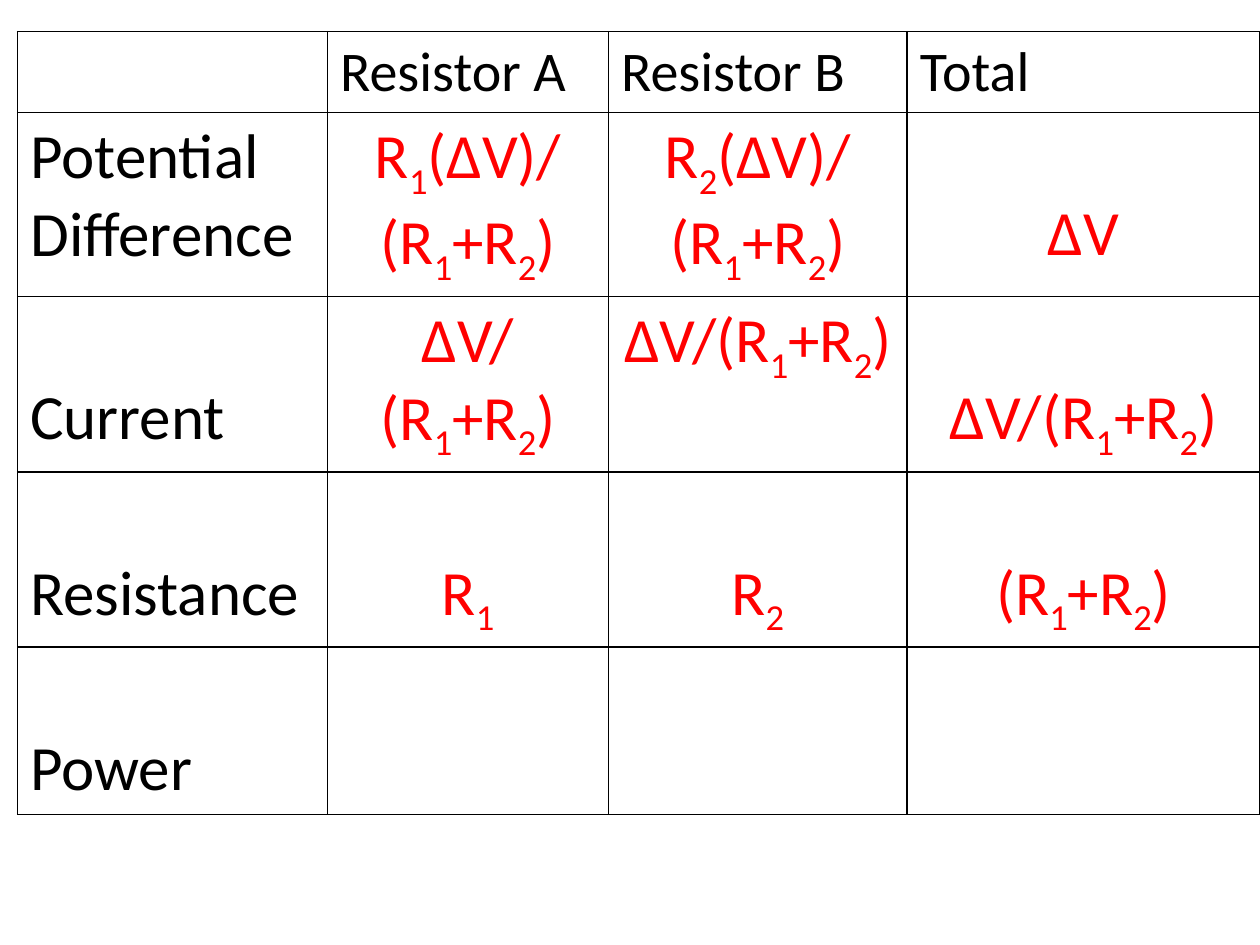
from lxml import etree
from pptx import Presentation
from pptx.dml.color import RGBColor
from pptx.enum import text
from pptx.oxml import ns
from pptx.util import Inches, Pt

COLORS = {"label": "000000", "formula": "FF0000", "border": "000000"}
FONT = "Calibri"
COL_WIDTHS = [2.46, 2.23, 2.37, 2.8]
ROW_HEIGHTS = [0.64, 1.46, 1.39, 1.39, 1.33]
MARGIN = 0.05
LINE_HEIGHT = 0.61
CURRENT = "ΔV/(R_1+R_2)"
ROWS = [
    ["", "Resistor A", "Resistor B", "Total"],
    ["Potential Difference", "R_1(ΔV)/(R_1+R_2)", "R_2(ΔV)/(R_1+R_2)", "ΔV"],
    ["Current", CURRENT, CURRENT, CURRENT],
    ["Resistance", "R_1", "R_2", "(R_1+R_2)"],
    ["Power", "", "", ""],
]
SECOND_LINE = {(1, 3), (2, 0), (2, 3), (3, 0), (3, 1), (3, 2), (3, 3), (4, 0)}


def add_run(p, value, size, color, subscript=False):
    """Add one run of text, lowered if it is a subscript."""
    r = p.add_run()
    r.text = value
    r.font.name = FONT
    r.font.size = Pt(size)
    r.font.color.rgb = RGBColor.from_string(COLORS[color])
    if subscript:
        r._r.get_or_add_rPr().set("baseline", "-25000")


def add_formula(p, formula, size, color):
    """Write a formula in which an underscore marks a one-digit subscript."""
    head, *tails = formula.split("_")
    add_run(p, head, size, color)
    for tail in tails:
        add_run(p, tail[0], size, color, subscript=True)
        if tail[1:]:
            add_run(p, tail[1:], size, color)


def style_cell(cell):
    """Clear the fill of a cell and give it a thin border on each side."""
    cell.fill.background()
    tc_pr = cell._tc.get_or_add_tcPr()
    for i, side in enumerate(("lnL", "lnR", "lnT", "lnB")):
        ln = etree.Element(ns.qn(f"a:{side}"), w=str(Pt(1)))
        fill = etree.SubElement(ln, ns.qn("a:solidFill"))
        etree.SubElement(fill, ns.qn("a:srgbClr"), val=COLORS["border"])
        tc_pr.insert(i, ln)


def add_circuit_table(s, left, top, width, height):
    """Place the table of series circuit quantities in the given box."""
    table = s.shapes.add_table(len(ROWS), len(COL_WIDTHS), left, top, width, height).table
    table.first_row = table.horz_banding = False
    for col, size in zip(table.columns, COL_WIDTHS):
        col.width = Inches(size)
    for row, size in zip(table.rows, ROW_HEIGHTS):
        row.height = Inches(size)
    for i, row in enumerate(ROWS):
        for j, value in enumerate(row):
            cell = table.cell(i, j)
            style_cell(cell)
            offset = LINE_HEIGHT if (i, j) in SECOND_LINE else 0
            cell.margin_top = Inches(MARGIN + offset)
            cell.margin_bottom = Inches(MARGIN)
            if not value:
                continue
            p = cell.text_frame.paragraphs[0]
            is_formula = i > 0 and j > 0
            p.alignment = text.PP_ALIGN.CENTER if is_formula else text.PP_ALIGN.LEFT
            add_formula(p, value, 36 if i else 32, "formula" if is_formula else "label")


def main():
    """Build and save the slide."""
    prs = Presentation()
    prs.slide_width, prs.slide_height = Inches(10), Inches(7.5)
    s = prs.slides.add_slide(prs.slide_layouts[6])
    add_circuit_table(s, Inches(0.14), Inches(0.25),
                      Inches(sum(COL_WIDTHS)), Inches(sum(ROW_HEIGHTS)))
    prs.save("out.pptx")


if __name__ == "__main__":
    main()
